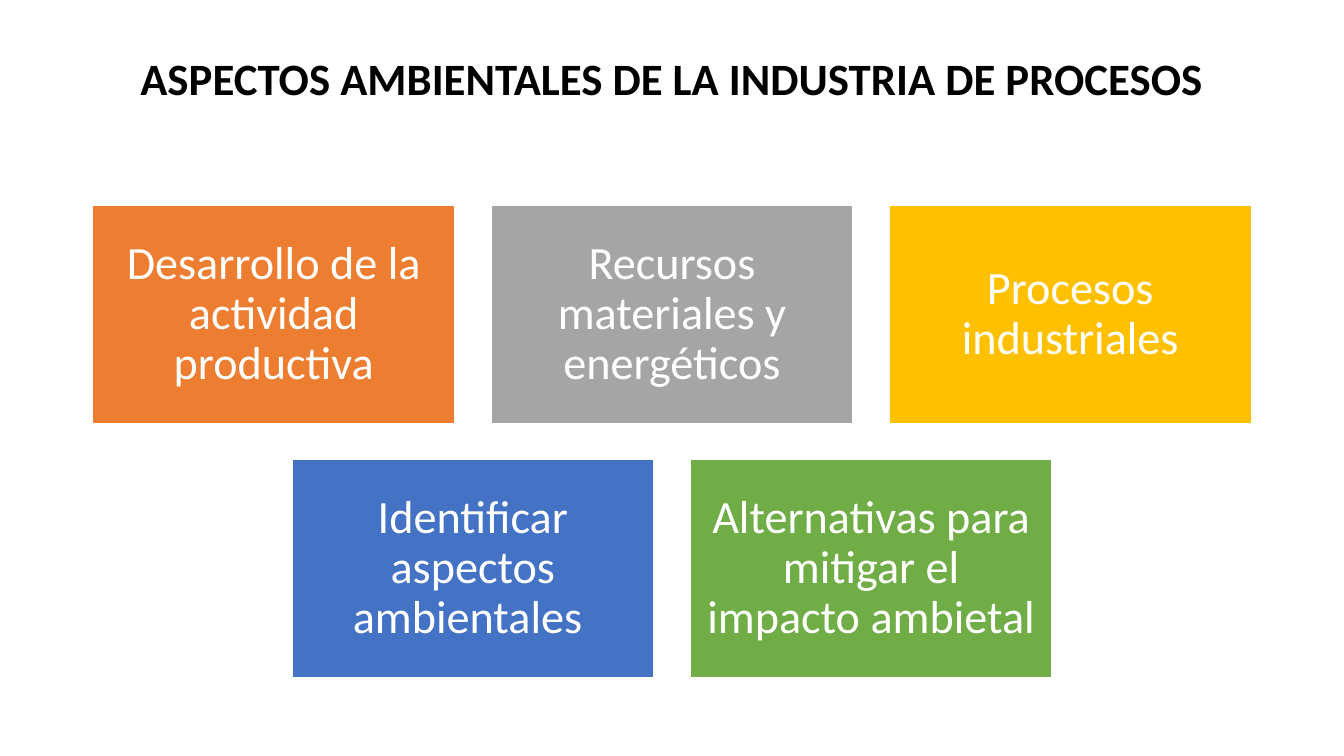
import pptx
import pptx.util
import pptx.dml.color
import pptx.enum.shapes
import pptx.enum.text

Inches = pptx.util.Inches
Pt = pptx.util.Pt
RGB = pptx.dml.color.RGBColor.from_string

THEME = {
    "font": "Calibri",
    "title_size": 32,
    "card_size": 33,
    "title_color": "000000",
    "card_text": "FFFFFF",
    "card_line": "FFFFFF",
    "orange": "ED7D31",
    "gray": "A5A5A5",
    "gold": "FFC000",
    "blue": "4472C4",
    "green": "70AD47",
}

SLIDE_W, SLIDE_H = 13.33, 7.5
MARGIN = 0.92
CARD_W, CARD_H, GAP = 3.59, 2.16, 0.36
FIRST_ROW_TOP = 2.04
CARD_INSET = 0.14

aspect_rows = [
    [
        ("Desarrollo de la actividad productiva", "orange"),
        ("Recursos materiales y energéticos", "gray"),
        ("Procesos industriales", "gold"),
    ],
    [
        ("Identificar aspectos ambientales ", "blue"),
        ("Alternativas para mitigar el impacto ambietal", "green"),
    ],
]


def write_centered(frame, text, size, color, bold=False):
    frame.word_wrap = True
    frame.vertical_anchor = pptx.enum.text.MSO_ANCHOR.MIDDLE
    paragraph = frame.paragraphs[0]
    paragraph.text = text
    paragraph.alignment = pptx.enum.text.PP_ALIGN.CENTER
    paragraph.line_spacing = 0.9
    paragraph.font.name = THEME["font"]
    paragraph.font.size = Pt(THEME[size])
    paragraph.font.bold = bold
    paragraph.font.color.rgb = RGB(THEME[color])


deck = pptx.Presentation()
deck.slide_width = Inches(SLIDE_W)
deck.slide_height = Inches(SLIDE_H)
slide = deck.slides.add_slide(deck.slide_layouts[6])

heading = slide.shapes.add_textbox(
    Inches(MARGIN), Inches(0.22), Inches(SLIDE_W - 2 * MARGIN), Inches(1.17)
)
write_centered(
    heading.text_frame,
    "ASPECTOS AMBIENTALES DE LA INDUSTRIA DE PROCESOS",
    "title_size",
    "title_color",
    bold=True,
)

for row, aspects in enumerate(aspect_rows):
    row_width = len(aspects) * (CARD_W + GAP) - GAP
    row_left = (SLIDE_W - row_width) / 2
    top = FIRST_ROW_TOP + row * (CARD_H + GAP)
    for column, (aspect, color) in enumerate(aspects):
        card = slide.shapes.add_shape(
            pptx.enum.shapes.MSO_SHAPE.RECTANGLE,
            Inches(row_left + column * (CARD_W + GAP)),
            Inches(top),
            Inches(CARD_W),
            Inches(CARD_H),
        )
        card.shadow.inherit = False
        card.fill.solid()
        card.fill.fore_color.rgb = RGB(THEME[color])
        card.line.color.rgb = RGB(THEME["card_line"])
        card.line.width = Pt(1)
        frame = card.text_frame
        frame.margin_left = frame.margin_right = Inches(CARD_INSET)
        frame.margin_top = frame.margin_bottom = Inches(CARD_INSET)
        write_centered(frame, aspect, "card_size", "card_text")

deck.save("out.pptx")
